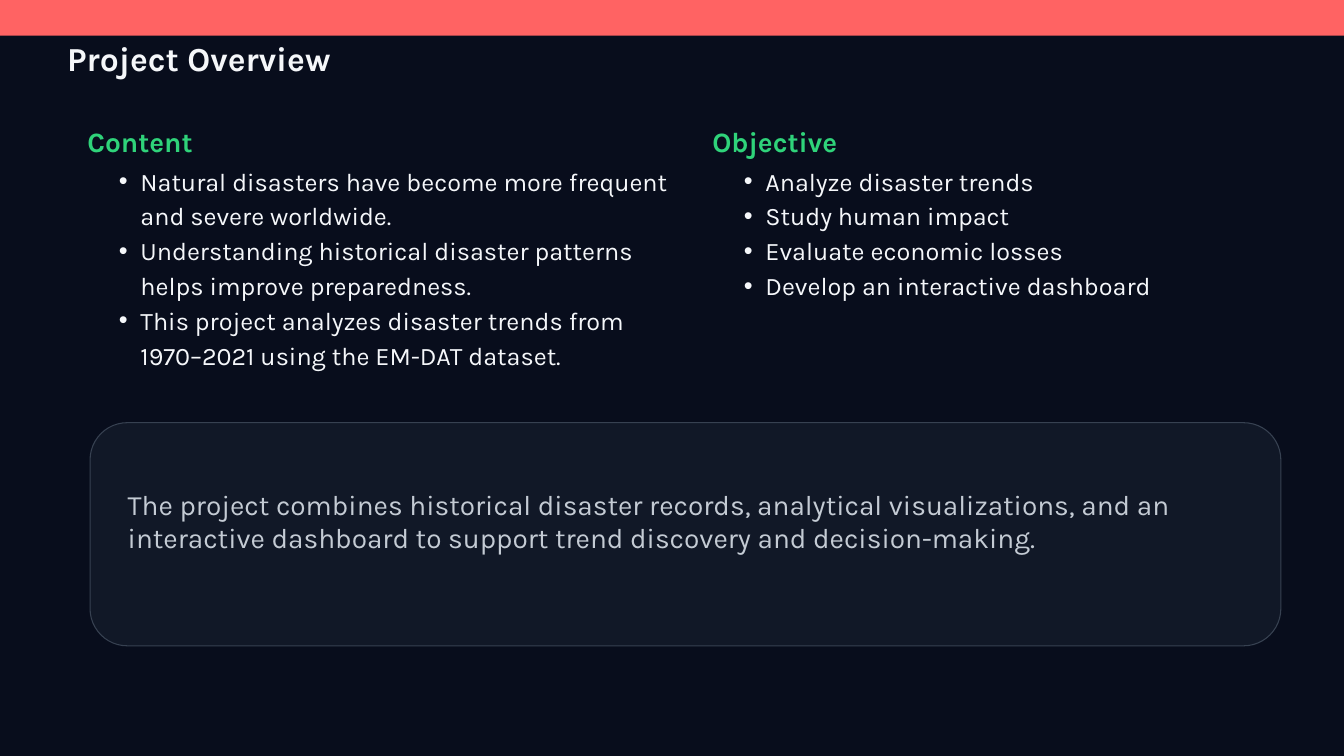
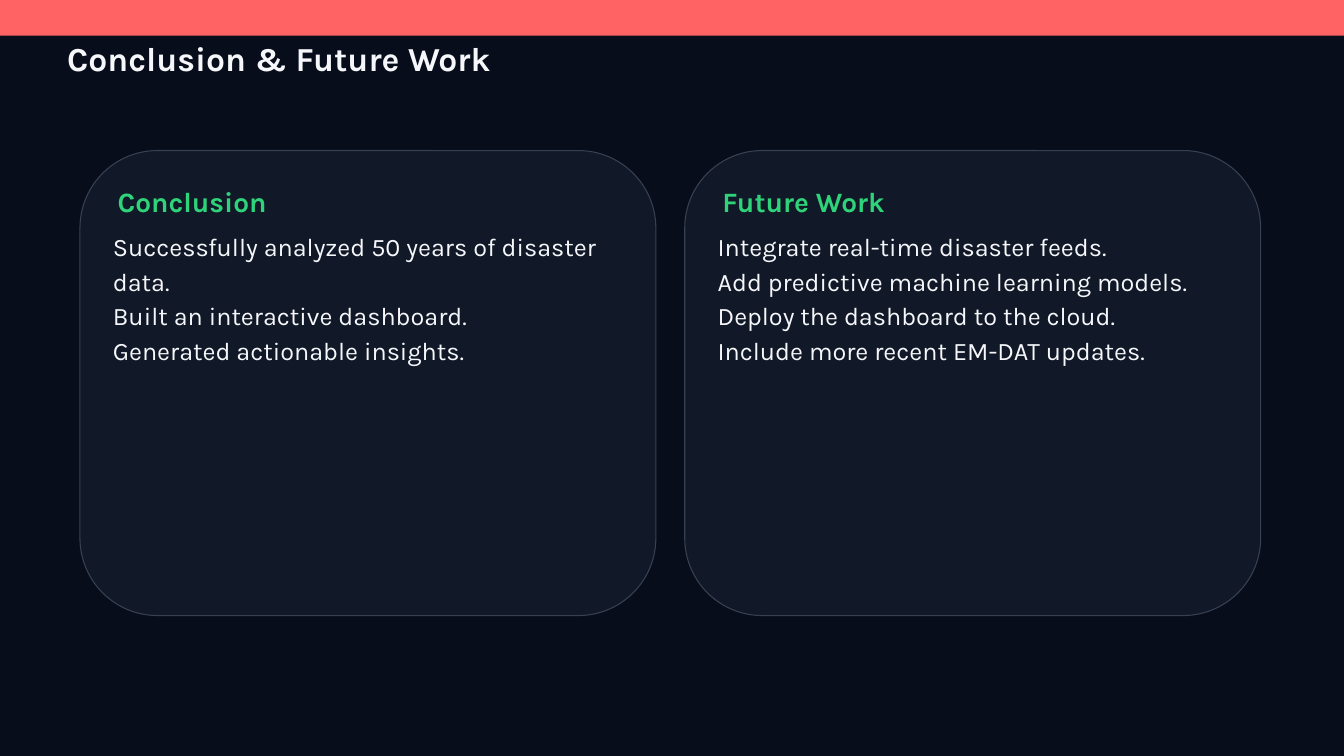
from lxml.etree import SubElement
from pptx import Presentation
from pptx.dml.color import RGBColor
from pptx.enum.shapes import MSO_SHAPE as Shape
from pptx.enum.text import MSO_ANCHOR as Anchor, MSO_AUTO_SIZE as AutoSize
from pptx.oxml.ns import qn
from pptx.util import Inches, Pt

SLIDE_WIDTH, SLIDE_HEIGHT = 20, 11.25
FONT = "Karla"
COLORS = {
    "background": "080D1C",
    "band": "FF6363",
    "text": "F5F7FA",
    "heading": "2FD37A",
    "muted": "C4CBD4",
    "card": "111827",
    "border": "374151",
}
STYLES = {
    "title": {"size": 36, "spacing": 43.2, "color": "text", "bold": True},
    "heading": {"size": 30, "spacing": 36, "color": "heading", "bold": True},
    "body": {"size": 27, "spacing": 37.3, "color": "text", "bold": False},
    "summary": {"size": 30, "spacing": 36, "color": "muted", "bold": False},
}


def rgb(name):
    return RGBColor.from_string(COLORS[name])


def add_bullet(paragraph):
    paragraph.level = 1
    properties = paragraph._p.get_or_add_pPr()
    properties.set("marL", str(Inches(0.64)))
    properties.set("indent", str(Inches(-0.32)))
    SubElement(properties, qn("a:buFont")).set("typeface", "Arial")
    SubElement(properties, qn("a:buChar")).set("char", "•")


def add_text(slide, box, lines, style_name, bulleted=False):
    style = STYLES[style_name]
    text_frame = slide.shapes.add_textbox(*map(Inches, box)).text_frame
    text_frame.word_wrap = True
    text_frame.auto_size = AutoSize.SHAPE_TO_FIT_TEXT
    text_frame.vertical_anchor = Anchor.TOP
    text_frame.margin_left = text_frame.margin_right = 0
    text_frame.margin_top = text_frame.margin_bottom = 0
    text_frame.text = "\n".join(lines)
    for paragraph in text_frame.paragraphs:
        if bulleted:
            add_bullet(paragraph)
        paragraph.line_spacing = Pt(style["spacing"])
        for run in paragraph.runs:
            run.font.name = FONT
            run.font.size = Pt(style["size"])
            run.font.bold = style["bold"]
            run.font.color.rgb = rgb(style["color"])


def add_panel(slide, kind, box, fill, border=None):
    shape = slide.shapes.add_shape(kind, *map(Inches, box))
    shape.shadow.inherit = False
    shape.fill.solid()
    shape.fill.fore_color.rgb = rgb(fill)
    if border:
        shape.line.color.rgb = rgb(border)
        shape.line.width = Pt(1.13)
    else:
        shape.line.fill.background()


def add_card(slide, box):
    add_panel(slide, Shape.ROUNDED_RECTANGLE, box, "card", "border")


def add_titled_slide(presentation, title):
    slide = presentation.slides.add_slide(presentation.slide_layouts[6])
    slide.background.fill.solid()
    slide.background.fill.fore_color.rgb = rgb("background")
    add_panel(slide, Shape.RECTANGLE, (0, 0, SLIDE_WIDTH, 0.53), "band")
    add_text(slide, (1, 0.57, 17.95, 1.1), [title], "title")
    return slide


def add_bullet_column(slide, box, heading, lines):
    left, top, width, height = box
    add_text(slide, (left, top, 2.8, 0.5), [heading], "heading")
    body = (left + 0.15, top + 0.55, width - 0.15, height - 0.55)
    add_text(slide, body, lines, "body", bulleted=True)


def add_summary_card(slide, box, summary):
    left, top, width, height = box
    add_card(slide, box)
    add_text(slide, (left + 0.56, top + 0.96, width - 1.27, 1.25), [summary], "summary")


def add_list_card(slide, box, heading, lines):
    left, top, width, height = box
    add_card(slide, box)
    add_text(slide, (left + 0.56, top + 0.51, 3.1, 0.5), [heading], "heading")
    body = (left + 0.49, top + 1.13, width - 1.27, height - 3.22)
    add_text(slide, body, lines, "body")


def build_overview(presentation):
    slide = add_titled_slide(presentation, "Project Overview")
    add_bullet_column(slide, (1.3, 1.85, 8.65, 3.6), "Content", [
        "Natural disasters have become more frequent and severe worldwide.",
        "Understanding historical disaster patterns helps improve preparedness.",
        "This project analyzes disaster trends from 1970–2021 using the EM-DAT dataset.",
    ])
    add_bullet_column(slide, (10.6, 1.85, 7.75, 2.58), "Objective", [
        "Analyze disaster trends",
        "Study human impact",
        "Evaluate economic losses",
        "Develop an interactive dashboard",
    ])
    add_summary_card(
        slide, (1.34, 6.29, 17.72, 3.32),
        "The project combines historical disaster records, analytical visualizations, "
        "and an interactive dashboard to support trend discovery and decision-making.",
    )


def build_conclusion(presentation):
    slide = add_titled_slide(presentation, "Conclusion & Future Work")
    cards = {
        "Conclusion": [
            "Successfully analyzed 50 years of disaster data.",
            "Built an interactive dashboard.",
            "Generated actionable insights.",
        ],
        "Future Work": [
            "Integrate real-time disaster feeds.",
            "Add predictive machine learning models.",
            "Deploy the dashboard to the cloud.",
            "Include more recent EM-DAT updates.",
        ],
    }
    for column, (heading, lines) in enumerate(cards.items()):
        add_list_card(slide, (1.19 + 9 * column, 2.24, 8.57, 6.92), heading, lines)


def main():
    presentation = Presentation()
    presentation.slide_width = Inches(SLIDE_WIDTH)
    presentation.slide_height = Inches(SLIDE_HEIGHT)
    build_overview(presentation)
    build_conclusion(presentation)
    presentation.save("out.pptx")


if __name__ == "__main__":
    main()
